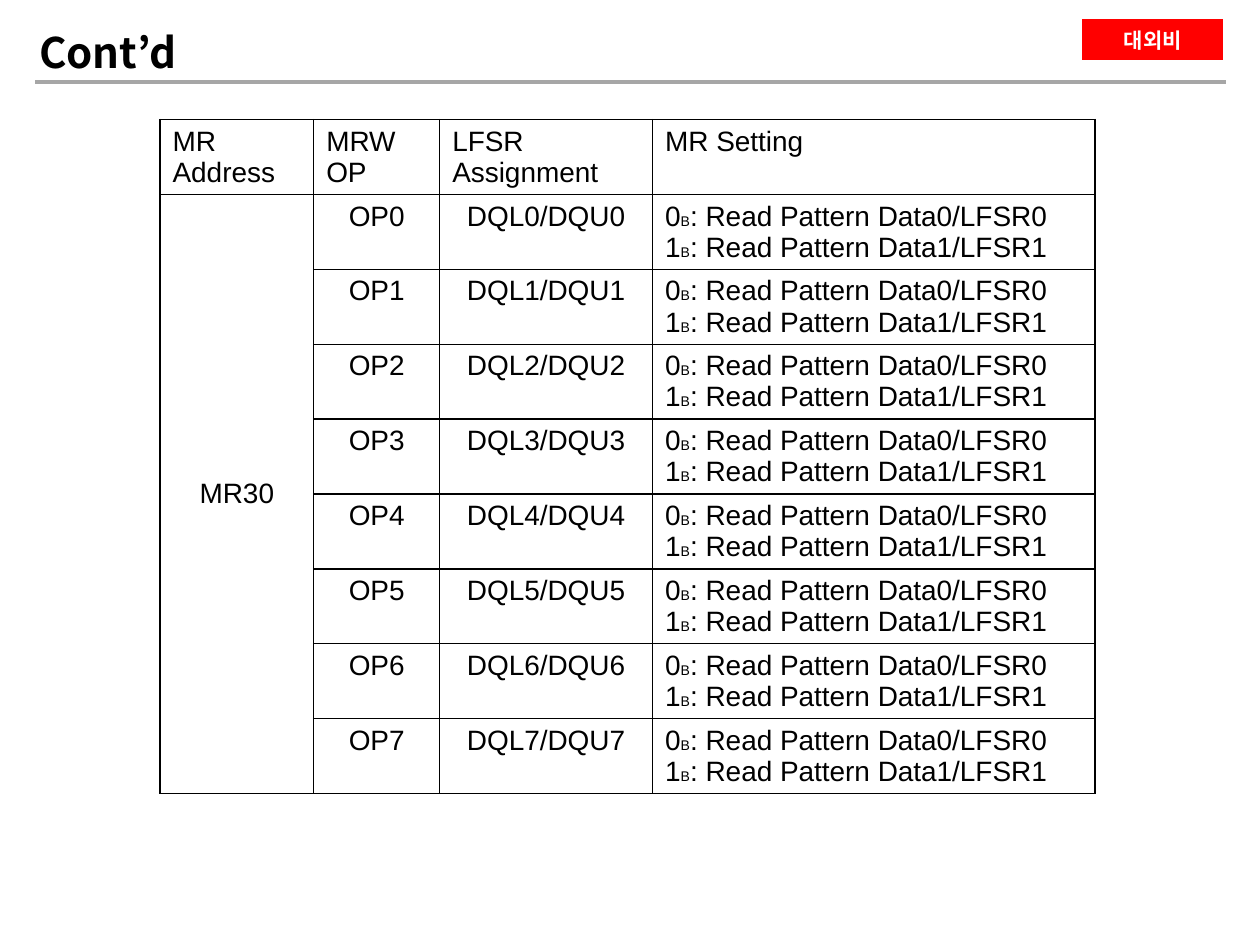
from dataclasses import dataclass

from lxml.etree import SubElement
from pptx import Presentation
from pptx.dml.color import RGBColor
from pptx.enum.shapes import MSO_CONNECTOR, MSO_SHAPE
from pptx.enum.text import MSO_ANCHOR, MSO_AUTO_SIZE, PP_ALIGN
from pptx.oxml.ns import qn
from pptx.util import Inches, Pt

BLACK = RGBColor(0x00, 0x00, 0x00)
WHITE = RGBColor(0xFF, 0xFF, 0xFF)
RED = RGBColor(0xFF, 0x00, 0x00)
GRAY = RGBColor(0xA6, 0xA6, 0xA6)
HEADING_FONT = "Noto Sans CJK KR"
ROW_HEIGHT = 0.59
OP_COUNT = 8


@dataclass(frozen=True)
class Column:
    heading: str
    width: float


COLUMNS = [
    Column("MR Address", 1.22),
    Column("MRW OP", 1.0),
    Column("LFSR Assignment", 1.69),
    Column("MR Setting", 3.51),
]


def add_run(p, text: str, size: float, font: str = "Arial",
            color: RGBColor = BLACK, bold: bool = False) -> None:
    r = p.add_run()
    r.text = text
    for name, value in {"name": font, "size": Pt(size), "bold": bold}.items():
        setattr(r.font, name, value)
    r.font.color.rgb = color
    SubElement(r.font._element, qn("a:ea"), typeface=font)


def format_title(s) -> None:
    title = s.shapes.title
    box = {"left": 0.21, "top": 0.16, "width": 7.25, "height": 0.5}
    for name, value in box.items():
        setattr(title, name, Inches(value))
    tf = title.text_frame
    frame = {"auto_size": MSO_AUTO_SIZE.NONE, "margin_top": 0, "margin_bottom": 0,
             "vertical_anchor": MSO_ANCHOR.MIDDLE, "word_wrap": True}
    for name, value in frame.items():
        setattr(tf, name, value)
    p = tf.paragraphs[0]
    p.alignment = PP_ALIGN.LEFT
    add_run(p, "Cont’d", 24, HEADING_FONT, bold=True)


def add_badge(s) -> None:
    sp = s.shapes.add_shape(MSO_SHAPE.RECTANGLE, Inches(8.56), Inches(0.12),
                            Inches(1.18), Inches(0.39))
    sp.shadow.inherit = False
    sp.fill.solid()
    sp.fill.fore_color.rgb = RED
    sp.line.color.rgb = WHITE
    sp.line.width = Pt(4.5)
    sp.text_frame.vertical_anchor = MSO_ANCHOR.MIDDLE
    p = sp.text_frame.paragraphs[0]
    p.alignment = PP_ALIGN.CENTER
    add_run(p, "대외비", 12, HEADING_FONT, WHITE, bold=True)


def add_title_rule(s) -> None:
    rule = s.shapes.add_connector(MSO_CONNECTOR.STRAIGHT, Inches(0.28), Inches(0.65),
                                  Inches(9.73), Inches(0.65))
    rule.line.color.rgb = GRAY
    rule.line.width = Pt(2)
    SubElement(rule._element.spPr, qn("a:effectLst"))


def style_cell(cell) -> None:
    """Give the cell a black border on every side and no fill."""
    tc_pr = cell._tc.get_or_add_tcPr()
    for side in ("lnL", "lnR", "lnT", "lnB"):
        ln = SubElement(tc_pr, qn(f"a:{side}"), w=str(Pt(1)))
        fill = SubElement(ln, qn("a:solidFill"))
        SubElement(fill, qn("a:srgbClr"), val=str(BLACK))
    cell.fill.background()


def write_cell(cell, text: str, align: PP_ALIGN = PP_ALIGN.LEFT) -> None:
    p = cell.text_frame.paragraphs[0]
    p.alignment = align
    add_run(p, text, 16)


def write_setting(cell) -> None:
    """Describe what bit values 0 and 1 select, one per paragraph."""
    tf = cell.text_frame
    for bit in range(2):
        p = tf.add_paragraph() if bit else tf.paragraphs[0]
        add_run(p, str(bit), 16)
        add_run(p, "B", 8)
        add_run(p, f": Read Pattern Data{bit}/LFSR{bit}", 16)


def add_register_table(s) -> None:
    rows = OP_COUNT + 1
    width = sum(column.width for column in COLUMNS)
    table = s.shapes.add_table(rows, len(COLUMNS), Inches(1.27), Inches(0.95),
                               Inches(width), Inches(rows * ROW_HEIGHT)).table
    table.first_row = table.horz_banding = False
    for row in table.rows:
        row.height = Inches(ROW_HEIGHT)
    for cell in table.iter_cells():
        style_cell(cell)
    for i, column in enumerate(COLUMNS):
        table.columns[i].width = Inches(column.width)
        write_cell(table.cell(0, i), column.heading)

    register = table.cell(1, 0)
    register.merge(table.cell(OP_COUNT, 0))
    register.vertical_anchor = MSO_ANCHOR.MIDDLE
    write_cell(register, "MR30", PP_ALIGN.CENTER)
    for op in range(OP_COUNT):
        write_cell(table.cell(op + 1, 1), f"OP{op}", PP_ALIGN.CENTER)
        write_cell(table.cell(op + 1, 2), f"DQL{op}/DQU{op}", PP_ALIGN.CENTER)
        write_setting(table.cell(op + 1, 3))


def main() -> None:
    prs = Presentation()
    prs.slide_width, prs.slide_height = Inches(10), Inches(7.5)
    s = prs.slides.add_slide(prs.slide_layouts[5])
    add_badge(s)
    add_title_rule(s)
    add_register_table(s)
    format_title(s)
    prs.save("out.pptx")


if __name__ == "__main__":
    main()
